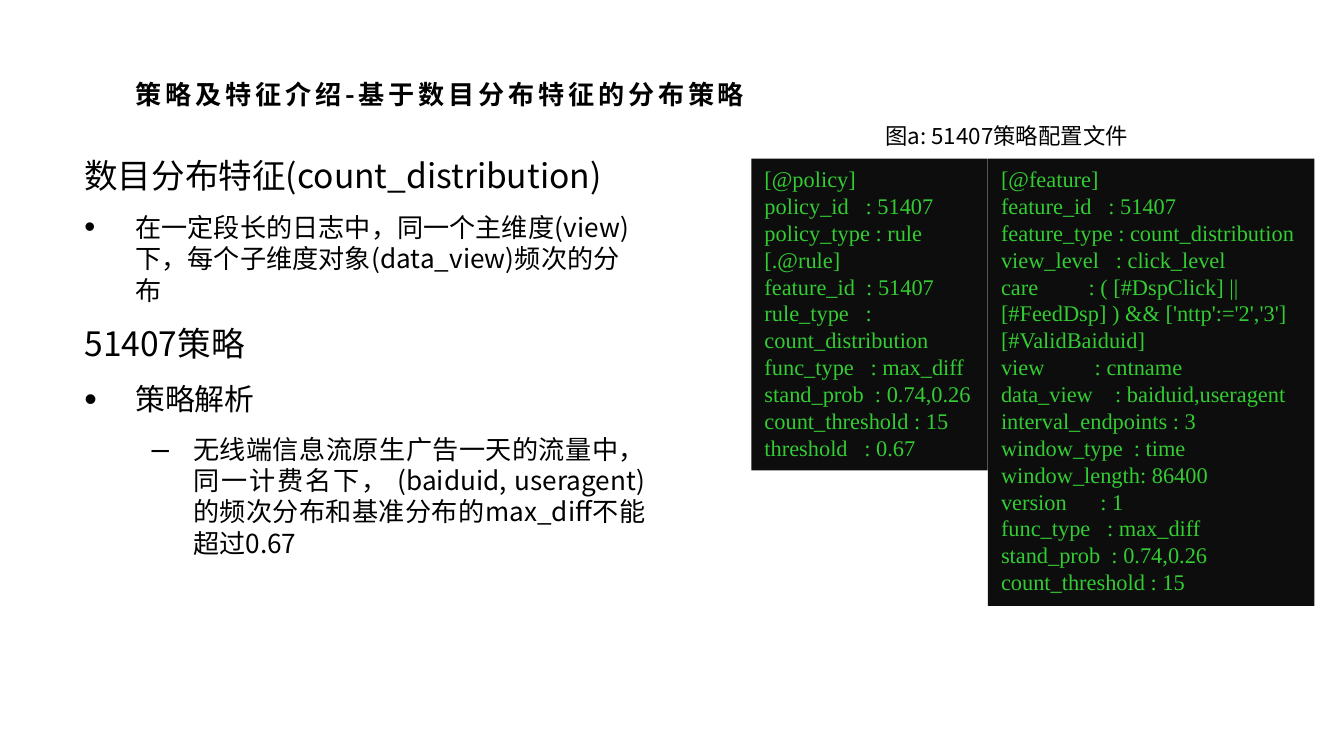
from dataclasses import dataclass

from lxml import etree
from pptx import Presentation
from pptx.dml.color import RGBColor
from pptx.enum.shapes import MSO_SHAPE
from pptx.enum.text import MSO_ANCHOR, PP_ALIGN
from pptx.oxml.ns import qn
from pptx.util import Inches, Pt

RECTANGLE = MSO_SHAPE.RECTANGLE
TOP = MSO_ANCHOR.TOP
LEFT, CENTER, JUSTIFY = PP_ALIGN.LEFT, PP_ALIGN.CENTER, PP_ALIGN.JUSTIFY

SANS, SERIF = "Noto Sans CJK SC", "Times New Roman"
BLACK, PANEL, GREEN = "000000", "0D0D0D", "33CC33"
SLIDE_WIDTH = 10
SLIDE_HEIGHT = SLIDE_WIDTH * 9 / 16


@dataclass
class BodyItem:
    text: str
    size: int
    bullet: str = ""
    margin: float = 0
    hanging: float = 0
    level: int = 0
    align: PP_ALIGN = LEFT


@dataclass
class CodePanel:
    left: float
    width: float
    height: float
    lines: list[str]


BODY = [
    BodyItem("数目分布特征(count_distribution)", 18),
    BodyItem("在一定段长的日志中，同一个主维度(view)下，每个子维度对象(data_view)频次的分布",
             14, "•", 0.38, 0.38),
    BodyItem("51407策略", 18),
    BodyItem("策略解析", 16, "•", 0.38, 0.38),
    BodyItem("无线端信息流原生广告一天的流量中，同一计费名下， (baiduid, useragent) "
             "的频次分布和基准分布的max_diff不能超过0.67",
             14, "–", 0.81, 0.31, 1, JUSTIFY),
]

PANELS = [
    CodePanel(7.35, 2.43, 3.33, [
        "[@feature]",
        "feature_id   : 51407",
        "feature_type : count_distribution",
        "view_level   : click_level",
        "care         : ( [#DspClick] || [#FeedDsp] ) && ['nttp':='2','3'][#ValidBaiduid]",
        "view         : cntname",
        "data_view    : baiduid,useragent",
        "interval_endpoints : 3",
        "window_type  : time",
        "window_length: 86400",
        "version      : 1",
        "func_type   : max_diff",
        "stand_prob  : 0.74,0.26",
        "count_threshold : 15",
    ]),
    CodePanel(5.59, 1.76, 2.32, [
        "[@policy]",
        "policy_id   : 51407",
        "policy_type : rule",
        "[.@rule]",
        "feature_id  : 51407",
        "rule_type   : count_distribution",
        "func_type   : max_diff",
        "stand_prob  : 0.74,0.26",
        "count_threshold : 15",
        "threshold   : 0.67",
    ]),
]


def color(hex_value: str) -> RGBColor:
    return RGBColor.from_string(hex_value)


def add_paragraph(frame, text: str, *, size: int, font: str = SANS, fill: str = BLACK,
                  bold: bool = False, tracking: float = 0, align: PP_ALIGN = LEFT,
                  line_spacing: float = 1.0, before: float = 0, after: float = 0):
    """Fill the first empty paragraph of the frame, or append a new one."""
    paragraph = frame.paragraphs[0]
    if paragraph.runs:
        paragraph = frame.add_paragraph()
        paragraph.space_before = Pt(before)
    paragraph.space_after = Pt(after)
    paragraph.alignment = align
    paragraph.line_spacing = line_spacing
    run = paragraph.add_run()
    run.text = text
    run.font.size = Pt(size)
    run.font.bold = bold
    run.font.name = font
    run.font.color.rgb = color(fill)
    properties = run.font._element
    etree.SubElement(properties, qn("a:ea"), typeface=font)
    if tracking:
        properties.set("spc", str(round(tracking * 100)))
    return paragraph


def add_bullet(paragraph, item: BodyItem) -> None:
    properties = paragraph._p.get_or_add_pPr()
    properties.set("marL", str(Inches(item.margin)))
    properties.set("indent", str(-Inches(item.hanging)))
    etree.SubElement(properties, qn("a:buSzPct"), val="120000")
    etree.SubElement(properties, qn("a:buFont"), typeface="Arial")
    etree.SubElement(properties, qn("a:buChar"), char=item.bullet)


def add_text_frame(slide, left: float, top: float, width: float, height: float):
    box = slide.shapes.add_textbox(Inches(left), Inches(top), Inches(width), Inches(height))
    box.text_frame.word_wrap = True
    return box.text_frame


def add_body(slide, items: list[BodyItem]) -> None:
    frame = add_text_frame(slide, 0.53, 1.1, 4.37, 4.28)
    for item in items:
        paragraph = add_paragraph(frame, item.text, size=item.size, align=item.align,
                                  before=item.size * 0.2, after=6)
        paragraph.level = item.level
        if item.bullet:
            add_bullet(paragraph, item)


def add_code_panel(slide, panel: CodePanel) -> None:
    shape = slide.shapes.add_shape(RECTANGLE, Inches(panel.left), Inches(1.18),
                                   Inches(panel.width), Inches(panel.height))
    shape.shadow.inherit = False
    shape.fill.solid()
    shape.fill.fore_color.rgb = color(PANEL)
    shape.line.fill.background()
    frame = shape.text_frame
    frame.word_wrap = True
    frame.vertical_anchor = TOP
    for line in panel.lines:
        add_paragraph(frame, line, size=12, font=SERIF, fill=GREEN)


def main() -> None:
    presentation = Presentation()
    presentation.slide_width = Inches(SLIDE_WIDTH)
    presentation.slide_height = Inches(SLIDE_HEIGHT)
    slide = presentation.slides.add_slide(presentation.slide_layouts[6])

    # Title
    title = add_text_frame(slide, 0.91, 0.44, 4.8, 0.43)
    add_paragraph(title, "策略及特征介绍-基于数目分布特征的分布策略", size=14,
                  bold=True, tracking=2, line_spacing=1.4)

    # Explanation on the left
    add_body(slide, BODY)

    # Configuration listing on the right
    caption = add_text_frame(slide, 5.81, 0.86, 3.36, 0.3)
    add_paragraph(caption, "图a: 51407策略配置文件", size=12, align=CENTER)
    for panel in PANELS:
        add_code_panel(slide, panel)

    presentation.save("out.pptx")


if __name__ == "__main__":
    main()
